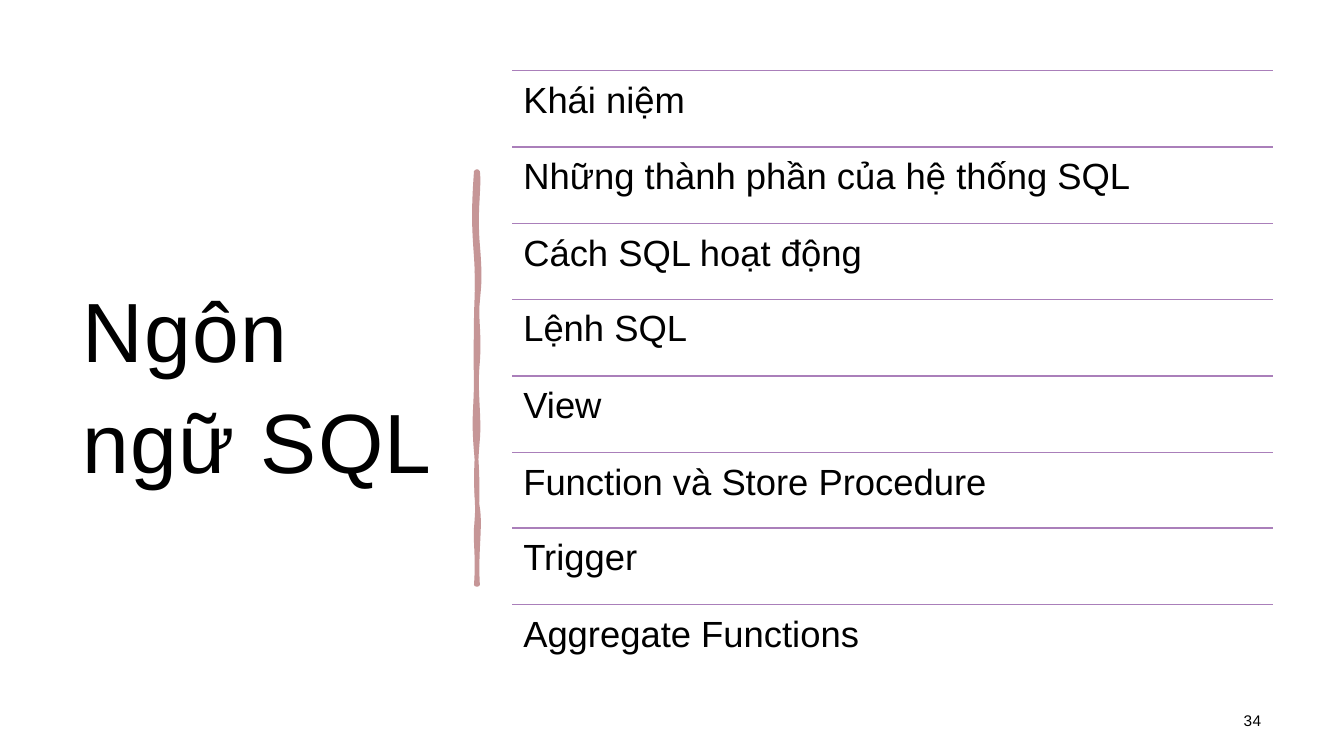
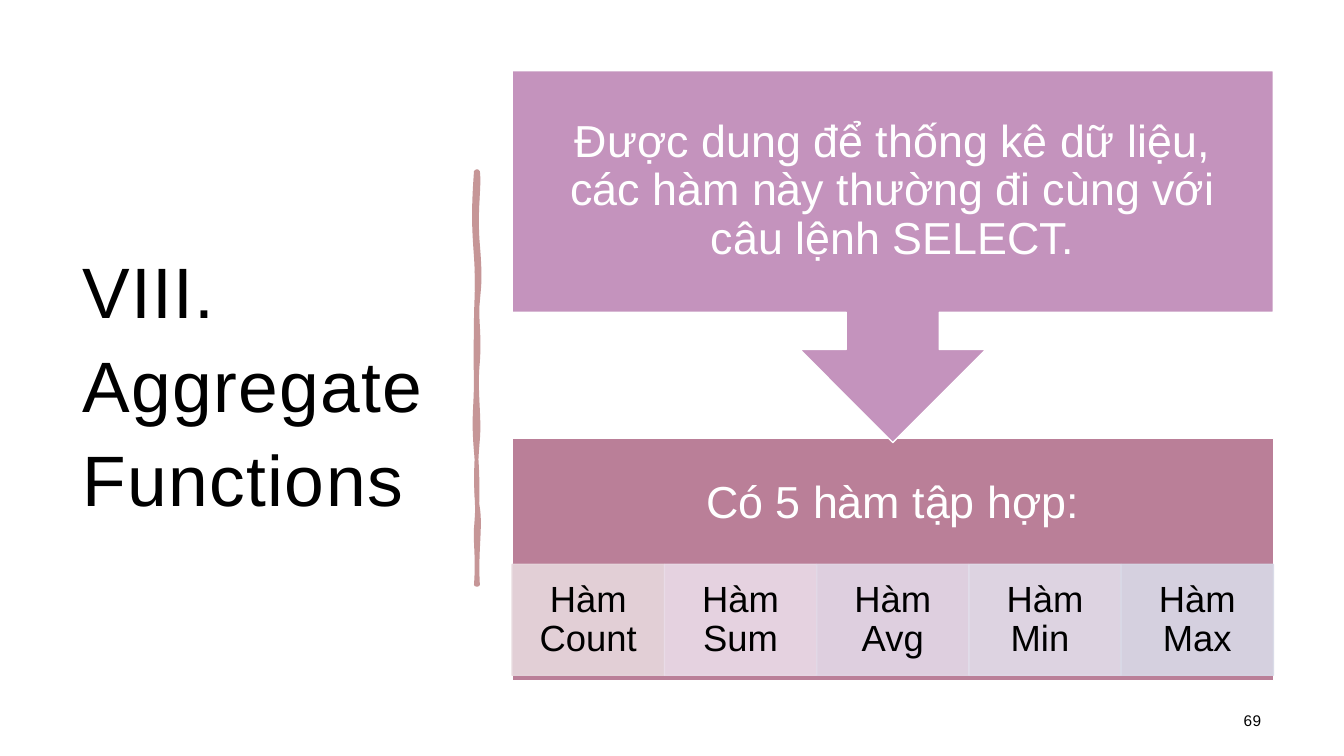
from dataclasses import dataclass

from lxml import etree
from pptx import Presentation
from pptx.dml.color import RGBColor
from pptx.enum.shapes import MSO_CONNECTOR, MSO_SHAPE
from pptx.enum.text import MSO_ANCHOR, PP_ALIGN
from pptx.oxml.ns import qn
from pptx.util import Pt

PX = 9144  # EMU per px, 100 px to the inch
SLIDE_W, SLIDE_H = 1333, 750
FONT = "Arial"

BLACK = RGBColor(0x00, 0x00, 0x00)
WHITE = RGBColor(0xFF, 0xFF, 0xFF)
BRUSH = RGBColor(0xC6, 0x96, 0x97)
RULE = RGBColor(0xAA, 0x7F, 0xBA)
CALLOUT = RGBColor(0xC4, 0x93, 0xBD)
BASE = RGBColor(0xBA, 0x7F, 0x98)

RECT, DOWN_CALLOUT = MSO_SHAPE.RECTANGLE, MSO_SHAPE.DOWN_ARROW_CALLOUT
STRAIGHT = MSO_CONNECTOR.STRAIGHT
TOP, MIDDLE = MSO_ANCHOR.TOP, MSO_ANCHOR.MIDDLE
LEFT, CENTER, RIGHT = PP_ALIGN.LEFT, PP_ALIGN.CENTER, PP_ALIGN.RIGHT

CONTENT_X, CONTENT_Y, CONTENT_W, CONTENT_H = 508, 70, 755, 606

# Brush stroke: start point, then control, control and end point of each curve
BRUSH_EDGE = [
    (472, 170), (473, 170), (473, 170), (474, 170), (476, 186), (471, 207), (474, 243),
    (477, 279), (475, 285), (474, 299), (472, 313), (476, 331), (474, 359),
    (471, 387), (476, 413), (474, 436), (472, 458), (471, 485), (474, 504),
    (477, 523), (472, 548), (474, 580), (473, 580), (473, 580), (472, 580),
    (474, 554), (471, 536), (472, 524), (473, 513), (475, 483), (472, 448),
    (469, 413), (472, 406), (472, 375), (471, 345), (472, 341), (472, 319),
    (472, 298), (474, 285), (472, 255), (470, 226), (469, 212), (472, 170),
]
BRUSH_BODY = [
    (472, 170), (472, 170), (473, 170), (474, 170), (476, 195), (475, 201), (474, 226),
    (473, 252), (478, 280), (474, 303), (470, 326), (476, 344), (474, 371),
    (472, 399), (474, 417), (474, 431), (474, 446), (473, 463), (474, 492),
    (475, 520), (473, 544), (474, 580), (473, 580), (472, 580), (472, 580),
    (471, 568), (471, 536), (472, 524), (472, 513), (469, 478), (472, 460),
    (475, 442), (473, 423), (472, 396), (471, 369), (470, 343), (472, 323),
    (473, 304), (469, 281), (472, 259), (475, 237), (474, 211), (472, 170),
]


@dataclass(frozen=True)
class Box:
    x: int
    y: int
    w: int
    h: int

    def emu(self) -> list[int]:
        return [v * PX for v in (self.x, self.y, self.w, self.h)]


@dataclass(frozen=True)
class TextStyle:
    size: int
    color: RGBColor = BLACK
    align: PP_ALIGN = CENTER
    anchor: MSO_ANCHOR = MIDDLE
    spacing: float = 0.9
    tracking: int = 0  # hundredths of a point
    insets: tuple[int, int, int, int] = (25, 25, 25, 25)


@dataclass(frozen=True)
class Cell:
    text: str
    color: RGBColor


BRUSH_BOX = Box(472, 170, 2, 410)
SLIDE_NUMBER = TextStyle(11, align=RIGHT, tracking=40, insets=(12, 12, 12, 10))
AGENDA = TextStyle(26, align=LEFT, anchor=TOP, insets=(11, 11, 11, 11))
PANEL = TextStyle(32, WHITE)
CELL = TextStyle(26, insets=(20, 4, 20, 4))

TOPICS = [
    "Khái niệm",
    "Những thành phần của hệ thống SQL",
    "Cách SQL hoạt động",
    "Lệnh SQL",
    "View",
    "Function và Store Procedure",
    "Trigger",
    "Aggregate Functions",
]
FUNCTIONS = [
    Cell("Hàm Count", RGBColor(0xE7, 0xD8, 0xDD)),
    Cell("Hàm Sum", RGBColor(0xEA, 0xDC, 0xE8)),
    Cell("Hàm Avg", RGBColor(0xE2, 0xD8, 0xE7)),
    Cell("Hàm Min ", RGBColor(0xE1, 0xDD, 0xEA)),
    Cell("Hàm Max", RGBColor(0xD8, 0xD9, 0xE7)),
]


def write(sp, text: str, style: TextStyle) -> None:
    tf = sp.text_frame
    tf.word_wrap = True
    tf.vertical_anchor = style.anchor
    tf.margin_left, tf.margin_top, tf.margin_right, tf.margin_bottom = (
        v * PX for v in style.insets)
    p = tf.paragraphs[0]
    p.text = text
    p.alignment = style.align
    p.line_spacing = style.spacing
    r = p.runs[0]
    r.font.name = FONT
    r.font.size = Pt(style.size)
    r.font.color.rgb = style.color
    if style.tracking:
        r.font._element.set("spc", str(style.tracking))


def add_text(s, box: Box, text: str, style: TextStyle) -> None:
    write(s.shapes.add_textbox(*box.emu()), text, style)


def add_panel(s, kind: MSO_SHAPE, box: Box, fill: RGBColor, line: RGBColor | None):
    sp = s.shapes.add_shape(kind, *box.emu())
    sp.shadow.inherit = False
    sp.fill.solid()
    sp.fill.fore_color.rgb = fill
    if line is None:
        sp.line.fill.background()
    else:
        sp.line.color.rgb = line
        sp.line.width = Pt(1)
    return sp


def set_alpha(sp, percent: int) -> None:
    """Apply the opacity to both fill and line."""
    for color in sp._element.spPr.iter(qn("a:srgbClr")):
        etree.SubElement(color, qn("a:alpha"), val=str(percent * 1000))


def add_rule(s, x: int, y: int, w: int) -> None:
    line = s.shapes.add_connector(STRAIGHT, x * PX, y * PX, (x + w) * PX, y * PX)
    line.line.color.rgb = RULE
    line.line.width = Pt(1)
    etree.SubElement(line._element.spPr, qn("a:effectLst"))


def add_curve_path(paths, box: Box, points: list[tuple[int, int]], **paint: str) -> None:
    """Append a closed path of cubic curves, in coordinates relative to the box."""
    path = etree.SubElement(paths, qn("a:path"), w=str(box.w * PX), h=str(box.h * PX),
                            **paint)

    def add_step(tag: str, step: list[tuple[int, int]]) -> None:
        node = etree.SubElement(path, qn(tag))
        for x, y in step:
            etree.SubElement(node, qn("a:pt"), x=str((x - box.x) * PX),
                             y=str((y - box.y) * PX))

    add_step("a:moveTo", points[:1])
    for i in range(1, len(points), 3):
        add_step("a:cubicBezTo", points[i:i + 3])
    etree.SubElement(path, qn("a:close"))


def add_brush(s) -> None:
    """Draw the hand-drawn divider: an outline path and a filled path in one shape."""
    x, y, w, h = BRUSH_BOX.emu()
    fb = s.shapes.build_freeform(x, y)
    fb.add_line_segments([(x + w, y), (x + w, y + h), (x, y + h)], close=True)
    sp = fb.convert_to_shape()
    sp.shadow.inherit = False
    sp.fill.solid()
    sp.fill.fore_color.rgb = BRUSH
    sp.line.color.rgb = BRUSH
    sp.line.width = Pt(2.75)
    paths = next(sp._element.spPr.iter(qn("a:pathLst")))
    for straight in list(paths):
        paths.remove(straight)
    add_curve_path(paths, BRUSH_BOX, BRUSH_EDGE, fill="none")
    add_curve_path(paths, BRUSH_BOX, BRUSH_BODY, stroke="0")


def add_base_slide(prs, title: str, title_size: int, number: int):
    s = prs.slides.add_slide(prs.slide_layouts[6])
    add_panel(s, RECT, Box(0, 0, SLIDE_W, SLIDE_H), WHITE, None)
    style = TextStyle(title_size, align=LEFT, spacing=1.1, tracking=100,
                      insets=(12, 12, 12, 10))
    add_text(s, Box(70, 70, 374, 611), title, style)
    add_brush(s)
    add_text(s, Box(1063, 695, 200, 40), str(number), SLIDE_NUMBER)
    return s


def add_agenda(s) -> None:
    row_h = CONTENT_H / len(TOPICS)
    for i, topic in enumerate(TOPICS):
        y = round(CONTENT_Y + i * row_h)
        add_rule(s, CONTENT_X, y, CONTENT_W)
        add_text(s, Box(CONTENT_X, y, CONTENT_W, round(row_h)), topic, AGENDA)


def add_function_diagram(s) -> None:
    add_panel(s, RECT, Box(CONTENT_X, 435, CONTENT_W, 240), BASE, WHITE)
    add_text(s, Box(CONTENT_X, 435, CONTENT_W, 129), "Có 5 hàm tập hợp:", PANEL)
    cell_w = CONTENT_W // len(FUNCTIONS)
    for i, cell in enumerate(FUNCTIONS):
        box = Box(CONTENT_X + i * cell_w, 560, cell_w, 110)
        sp = add_panel(s, RECT, box, cell.color, cell.color)
        set_alpha(sp, 90)
        write(sp, cell.text, CELL)
    callout = add_panel(s, DOWN_CALLOUT, Box(CONTENT_X, CONTENT_Y, CONTENT_W, 369),
                        CALLOUT, WHITE)
    write(callout, "Được dung để thống kê dữ liệu, các hàm này thường đi cùng với "
                   "câu lệnh SELECT.", PANEL)


def main() -> None:
    prs = Presentation()
    prs.slide_width, prs.slide_height = SLIDE_W * PX, SLIDE_H * PX
    add_agenda(add_base_slide(prs, "Ngôn ngữ SQL", 60, 34))
    add_function_diagram(add_base_slide(prs, "VIII. Aggregate Functions", 51, 69))
    prs.save("out.pptx")


if __name__ == "__main__":
    main()
